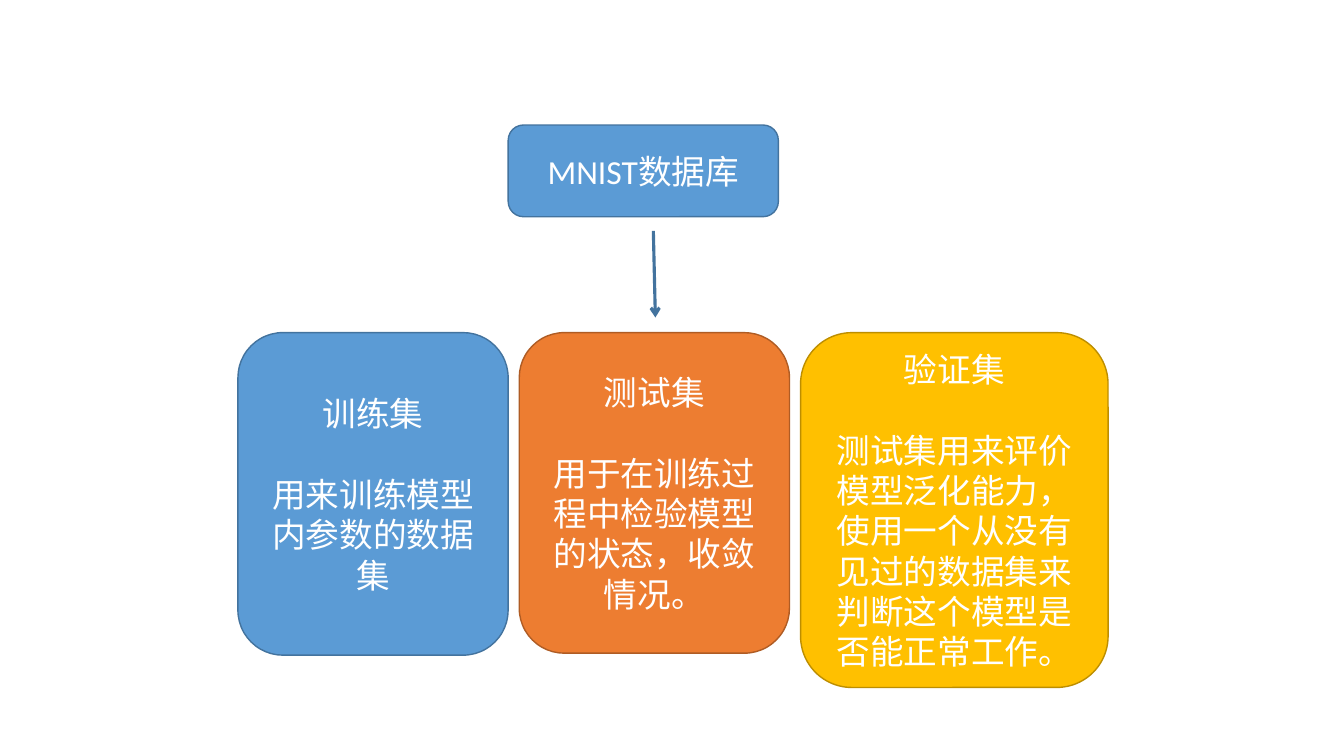
from dataclasses import dataclass

from lxml.etree import SubElement
from pptx import Presentation
from pptx.dml.color import RGBColor
from pptx.enum.shapes import MSO_CONNECTOR as Connector, MSO_SHAPE as Shape
from pptx.enum.text import MSO_ANCHOR as Anchor, PP_ALIGN as Align
from pptx.oxml.ns import qn
from pptx.util import Inches, Pt


@dataclass(frozen=True)
class Theme:
    font: str = "Calibri"
    text_size: float = 24
    heading_gap: float = 29
    border: float = 1
    arrow_width: float = 2.25
    text: str = "FFFFFF"
    blue: tuple = ("5B9BD5", "43739E")
    orange: tuple = ("ED7D31", "AF5C24")
    gold: tuple = ("FFC000", "BD8E00")


class SlideBuilder:
    def __init__(self, slide, theme):
        self.slide = slide
        self.theme = theme

    def box(self, left, top, width, height, colors, *lines):
        sp = self.slide.shapes.add_shape(
            Shape.ROUNDED_RECTANGLE,
            Inches(left), Inches(top), Inches(width), Inches(height))
        fill, border = colors
        sp.shadow.inherit = False
        sp.fill.solid()
        sp.fill.fore_color.rgb = RGBColor.from_string(fill)
        sp.line.color.rgb = RGBColor.from_string(border)
        sp.line.width = Pt(self.theme.border)
        tf = sp.text_frame
        tf.word_wrap = True
        tf.vertical_anchor = Anchor.MIDDLE
        for i, line in enumerate(lines):
            p = tf.add_paragraph() if i else tf.paragraphs[0]
            p.text = line
            p.alignment = Align.CENTER
            p.font.name = self.theme.font
            p.font.size = Pt(self.theme.text_size)
            p.font.color.rgb = RGBColor.from_string(self.theme.text)
            if i:
                p.space_before = Pt(self.theme.heading_gap)
        return sp

    def arrow(self, x1, y1, x2, y2, color):
        line = self.slide.shapes.add_connector(
            Connector.STRAIGHT, Inches(x1), Inches(y1), Inches(x2), Inches(y2))
        line.line.color.rgb = RGBColor.from_string(color)
        line.line.width = Pt(self.theme.arrow_width)
        SubElement(line.line._get_or_add_ln(), qn("a:tailEnd"), type="arrow")
        SubElement(line._element.spPr, qn("a:effectLst"))
        return line


def main():
    prs = Presentation()
    prs.slide_width, prs.slide_height = Inches(13.33), Inches(7.5)
    theme = Theme()
    s = SlideBuilder(prs.slides.add_slide(prs.slide_layouts[6]), theme)

    s.box(5.04, 1.24, 2.68, 0.91, theme.blue, "MNIST数据库")
    s.arrow(6.48, 2.29, 6.5, 3.15, theme.blue[1])

    datasets = [
        (2.68, 3.2, theme.blue, "训练集", "用来训练模型内参数的数据集"),
        (2.68, 3.18, theme.orange, "测试集",
         "用于在训练过程中检验模型的状态，收敛情况。"),
        (3.05, 3.52, theme.gold, "验证集",
         "测试集用来评价模型泛化能力，使用一个从没有见过的数据集来判断这个模型是否能正常工作。"),
    ]
    left, gap = 2.36, 0.11
    for width, height, colors, name, purpose in datasets:
        s.box(left, 3.3, width, height, colors, name, purpose)
        left += width + gap

    prs.save("out.pptx")


if __name__ == "__main__":
    main()
